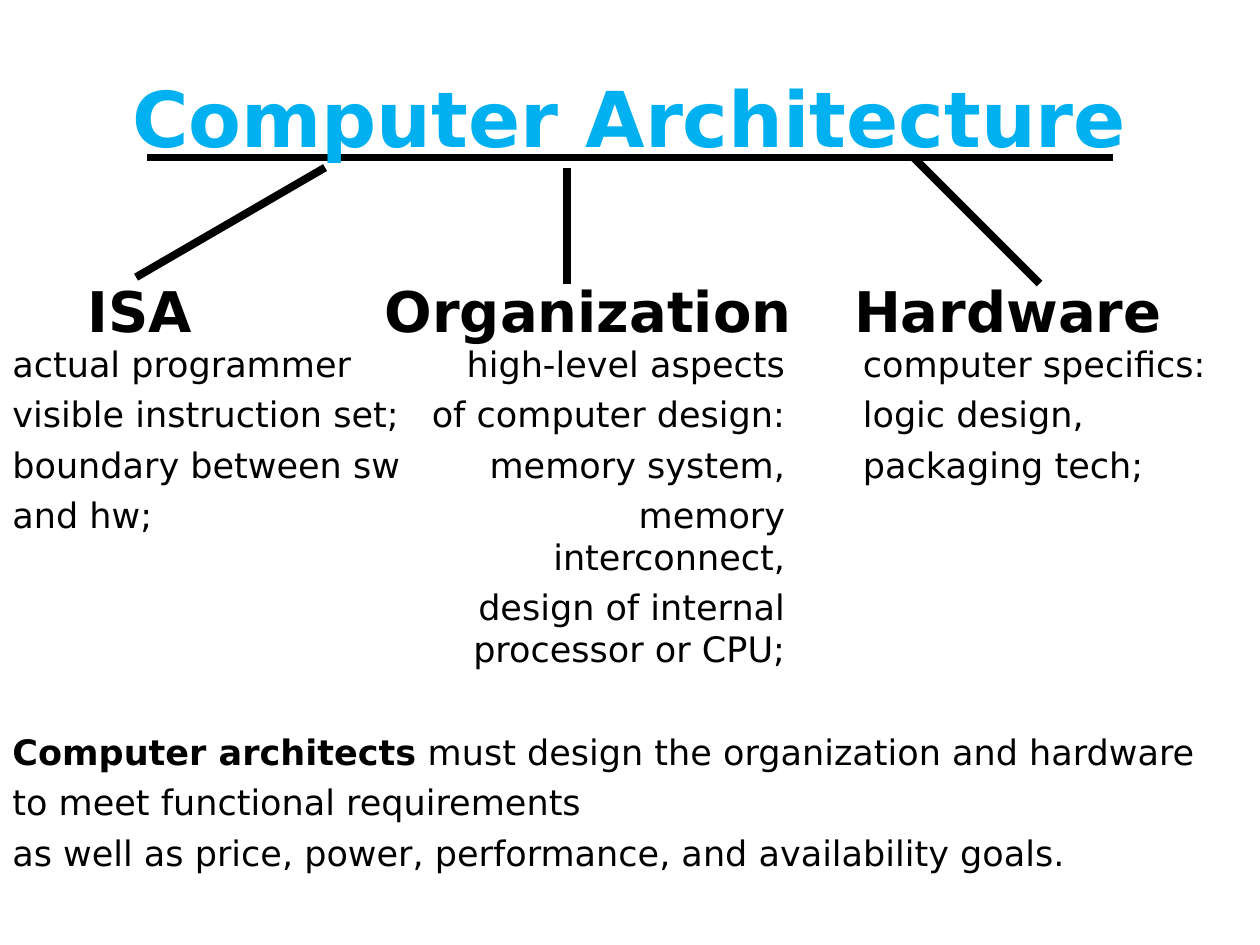
import pptx
import pptx.util
import pptx.dml.color
import pptx.enum.shapes
import pptx.enum.text
import pptx.oxml.ns
import lxml.etree

Inches = pptx.util.Inches
Pt = pptx.util.Pt
ALIGN = pptx.enum.text.PP_ALIGN
ANCHOR = pptx.enum.text.MSO_ANCHOR

COLOURS = {"text": "000000", "title": "00B0F0", "line": "000000", "page": "FFFFFF"}
FONT = "DejaVu Sans"
HANGING = Inches(0.38)


def colour(name):
    return pptx.dml.color.RGBColor.from_string(COLOURS[name])


class SlideBuilder:
    """Holds the style and the slide being filled."""

    heading = {"size": Pt(32), "bold": True}
    title = {"size": Pt(44), "bold": True}
    body = {"size": Pt(20), "bold": False}

    def __init__(self, page):
        self.page = page
        page.background.fill.solid()
        page.background.fill.fore_color.rgb = colour("page")

    def box(self, left, top, width, height, anchor):
        shape = self.page.shapes.add_textbox(*map(Inches, (left, top, width, height)))
        frame = shape.text_frame
        frame.word_wrap = True
        frame.vertical_anchor = anchor
        return frame

    def span(self, para, text, style, ink="text"):
        span = para.add_run()
        span.text = text
        for name, value in {"name": FONT, **style}.items():
            setattr(span.font, name, value)
        span.font.color.rgb = colour(ink)

    def label(self, text, place, style, ink="text"):
        para = self.box(*place, ANCHOR.MIDDLE).paragraphs[0]
        para.alignment = ALIGN.CENTER
        self.span(para, text, style, ink)

    def passage(self, lines, place, align=ALIGN.LEFT):
        """Adds hanging paragraphs; a line is a list of (text, bold) pairs or a string."""
        frame = self.box(*place, ANCHOR.TOP)
        for index, line in enumerate(lines):
            para = frame.paragraphs[0] if index == 0 else frame.add_paragraph()
            properties = para._p.get_or_add_pPr()
            properties.set("marL", str(HANGING))
            properties.set("indent", str(-HANGING))
            para.alignment = align
            para.space_before = Pt(4.7 if index else 0)
            for text, bold in [(line, False)] if isinstance(line, str) else line:
                self.span(para, text, {**self.body, "bold": bold})

    def line(self, *ends):
        connector = self.page.shapes.add_connector(
            pptx.enum.shapes.MSO_CONNECTOR.STRAIGHT, *map(Inches, ends))
        connector.line.width = Pt(4.5)
        connector.line.color.rgb = colour("line")
        lxml.etree.SubElement(connector._element.spPr, pptx.oxml.ns.qn("a:effectLst"))


def main():
    deck = pptx.Presentation()
    deck.slide_width, deck.slide_height = Inches(10), Inches(7.5)
    slide = SlideBuilder(deck.slides.add_slide(deck.slide_layouts[6]))

    title_rule = (1.17, 1.25, 8.83, 1.25)
    branches = [(2.58, 1.33, 1.08, 2.2), (4.5, 1.33, 4.5, 2.25), (7.25, 1.25, 8.25, 2.25)]
    for ends in [title_rule, *branches]:
        slide.line(*ends)

    # heading, heading left and width, text left and width, alignment, lines
    columns = [
        ("ISA", 0.15, 1.92, 0, 3.5, ALIGN.LEFT,
         ["actual programmer", "visible instruction set;", "boundary between sw", "and hw;"]),
        ("Organization", 2.67, 4, 3.08, 3.25, ALIGN.RIGHT,
         ["high-level aspects", "of computer design:", "memory system,",
          "memory interconnect,", "design of internal processor or CPU;"]),
        ("Hardware", 6.5, 3, 6.75, 3.25, ALIGN.LEFT,
         ["computer specifics:", "logic design,", "packaging tech;"]),
    ]
    for heading, head_left, head_width, left, width, align, lines in columns:
        slide.label(heading, (head_left, 2, head_width, 0.92), slide.heading)
        slide.passage(lines, (left, 2.67, width, 4.83), align)

    slide.passage([
        [("Computer architects", True), (" must design the organization and hardware", False)],
        "to meet functional requirements",
        "as well as price, power, performance, and availability goals.",
    ], (0, 5.75, 10, 1.75))
    slide.label("Computer Architecture", (0, 0.3, 10, 1.25), slide.title, "title")

    deck.save("out.pptx")


if __name__ == "__main__":
    main()
